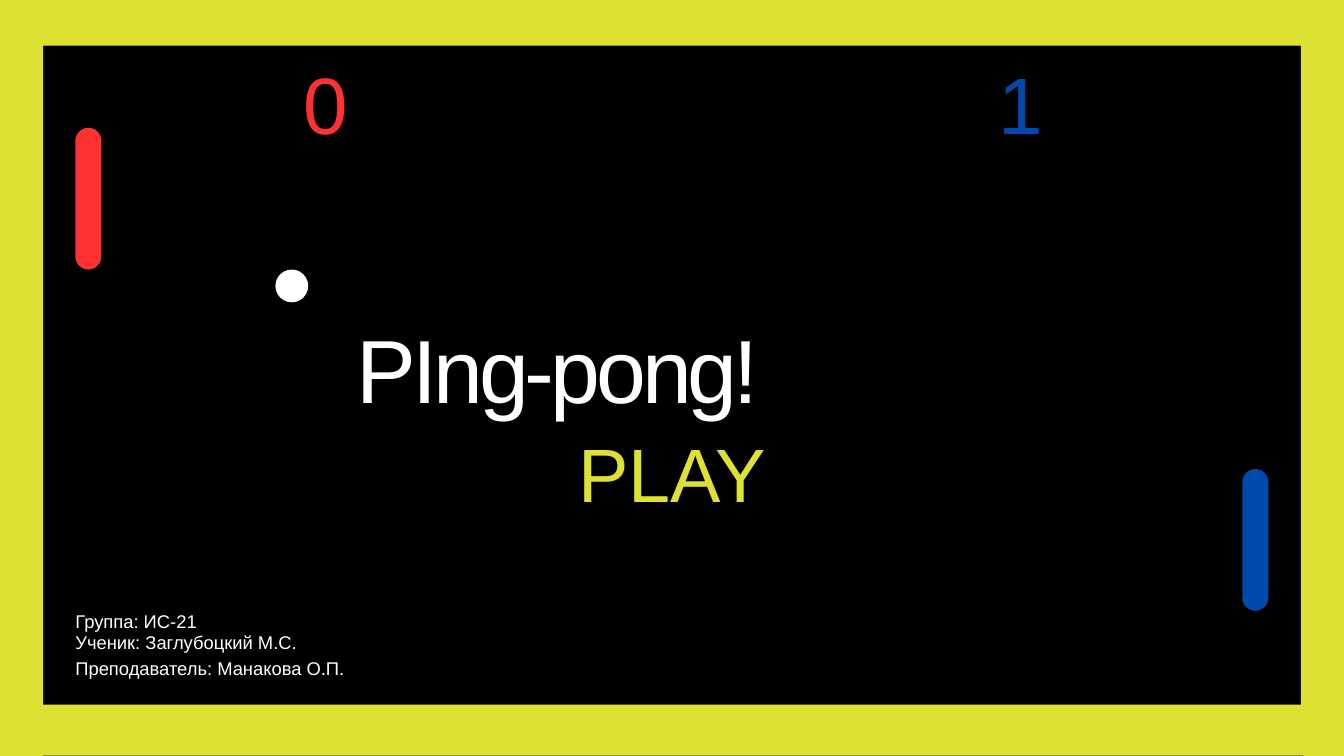
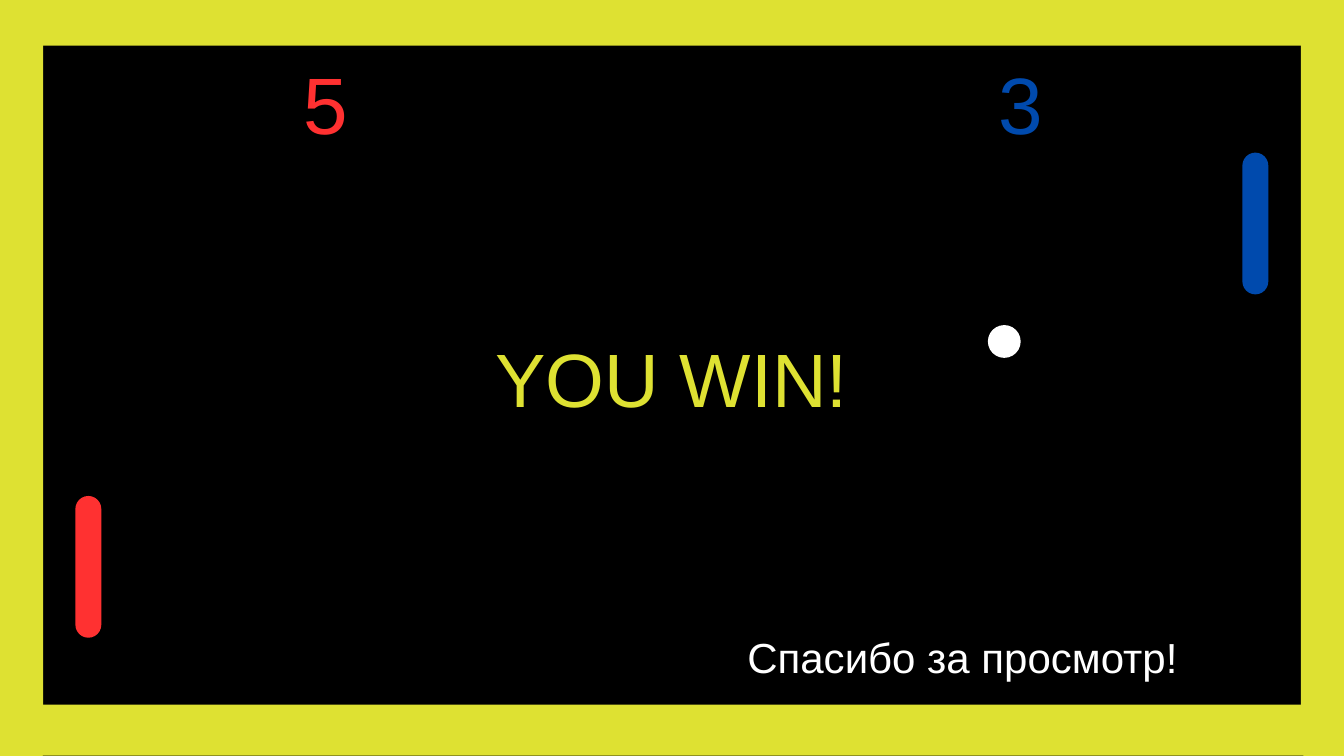
from pptx import Presentation
from pptx.dml.color import RGBColor
from pptx.enum.shapes import MSO_SHAPE
from pptx.enum.text import MSO_ANCHOR, MSO_AUTO_SIZE, PP_ALIGN
from pptx.util import Cm, Pt

YELLOW = RGBColor(0xDE, 0xE1, 0x32)
RED = RGBColor(0xFF, 0x31, 0x31)
BLUE = RGBColor(0x00, 0x4A, 0xAD)
WHITE = RGBColor(0xFF, 0xFF, 0xFF)
BLACK = RGBColor(0x00, 0x00, 0x00)

FONT = "Arial"
PAGE_WIDTH, PAGE_HEIGHT = 50.8, 28.58
BAR = 1.93
FRAME = [
    (-0.3, -0.2, BAR, 29.57),
    (49.17, -0.46, BAR, 29.57),
    (-0.38, -0.2, 51.49, BAR),
    (0, 26.64, PAGE_WIDTH, BAR),
]
PADDLE_WIDTH, PADDLE_HEIGHT = 0.98, 5.36
BALL_SIZE = 1.24
# Each player: colour, left edge of the paddle, left edge of the score
PLAYERS = [(RED, 2.85, 11.05), (BLUE, 46.96, 37.31)]

TITLE = {"size": 96, "color": WHITE, "leading": 105.6, "align": PP_ALIGN.LEFT, "tracking": -4.4}
MESSAGE = {"size": 81, "color": YELLOW, "leading": 113.4, "align": PP_ALIGN.CENTER}
CREDIT = {"size": 19.7, "color": WHITE, "leading": 27.6, "align": PP_ALIGN.JUSTIFY}
THANKS = {"size": 45, "color": WHITE, "leading": 45, "align": PP_ALIGN.CENTER}
SCORE = {"size": 85.7, "leading": 120, "align": PP_ALIGN.CENTER}


def set_all(target, values):
    for name, value in values.items():
        setattr(target, name, value)


def add_filled(page, kind, area, color):
    shape = page.shapes.add_shape(kind, *map(Cm, area))
    shape.shadow.inherit = False
    shape.fill.solid()
    shape.fill.fore_color.rgb = color
    shape.line.fill.background()
    return shape


def add_pill(page, area, color):
    """Add a bar with fully rounded ends."""
    add_filled(page, MSO_SHAPE.ROUNDED_RECTANGLE, area, color).adjustments[0] = 0.5


def write(box, lines, style):
    """Fill a text box or placeholder, one paragraph per line."""
    frame = box.text_frame
    set_all(frame, {
        "margin_left": 0, "margin_right": 0, "margin_top": 0, "margin_bottom": 0,
        "word_wrap": True, "auto_size": MSO_AUTO_SIZE.NONE, "vertical_anchor": MSO_ANCHOR.TOP,
    })
    for index, line in enumerate(lines):
        para = frame.add_paragraph() if index else frame.paragraphs[0]
        set_all(para, {"alignment": style["align"], "line_spacing": Pt(style["leading"]),
                       "space_before": Pt(0), "space_after": Pt(0)})
        span = para.add_run()
        span.text = line
        set_all(span.font, {"name": FONT, "size": Pt(style["size"])})
        span.font.color.rgb = style["color"]
        if "tracking" in style:
            span.font._element.set("spc", str(round(style["tracking"] * 100)))


def add_text(page, area, lines, style):
    write(page.shapes.add_textbox(*map(Cm, area)), lines, style)


def set_title(page, area, text, style):
    title = page.shapes.title
    set_all(title, dict(zip(("left", "top", "width", "height"), map(Cm, area))))
    write(title, [text], style)


def add_game_page(deck, scores, paddle_tops, ball):
    """Add a black court with its frame, paddles, ball and score."""
    page = deck.slides.add_slide(deck.slide_layouts.get_by_name("Title Only"))
    page.background.fill.solid()
    page.background.fill.fore_color.rgb = BLACK
    for area in FRAME:
        add_pill(page, area, YELLOW)
    for (color, paddle_left, score_left), score, top in zip(PLAYERS, scores, paddle_tops):
        add_pill(page, (paddle_left, top, PADDLE_WIDTH, PADDLE_HEIGHT), color)
        add_text(page, (score_left, 1.47, 2.54, 4.29), [score], {**SCORE, "color": color})
    add_filled(page, MSO_SHAPE.OVAL, (*ball, BALL_SIZE, BALL_SIZE), WHITE)
    return page


def main():
    deck = Presentation()
    set_all(deck, {"slide_width": Cm(PAGE_WIDTH), "slide_height": Cm(PAGE_HEIGHT)})

    start = add_game_page(deck, "01", (4.83, 17.73), (10.41, 10.19))
    set_title(start, (13.49, 12.19, 23.83, 4.01), "PIng-pong!", TITLE)
    add_text(start, (20.42, 15.57, 9.96, 4.06), ["PLAY"], MESSAGE)
    add_text(start, (2.85, 22.91, 6.96, 0.99), ["Группа: ИС-21"], CREDIT)
    add_text(start, (2.85, 23.72, 21.44, 1.96),
             ["Ученик: Заглубоцкий М.С.", "Преподаватель: Манакова О.П."], CREDIT)

    finish = add_game_page(deck, "53", (18.75, 5.77), (37.34, 12.29))
    set_title(finish, (17.12, 11.96, 16.54, 4.04), "YOU WIN!", MESSAGE)
    add_text(finish, (24.05, 24.21, 24.66, 1.8), ["Спасибо за просмотр!"], THANKS)

    deck.save("out.pptx")


if __name__ == "__main__":
    main()
